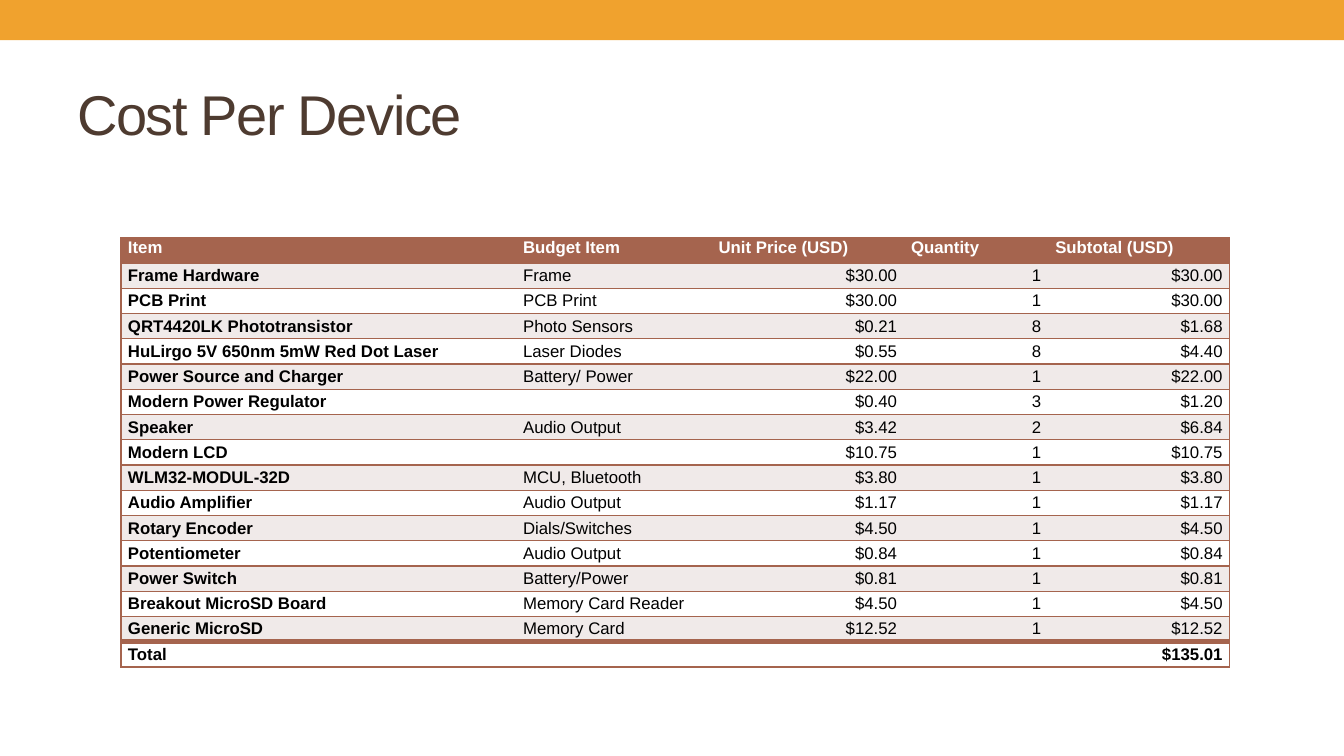
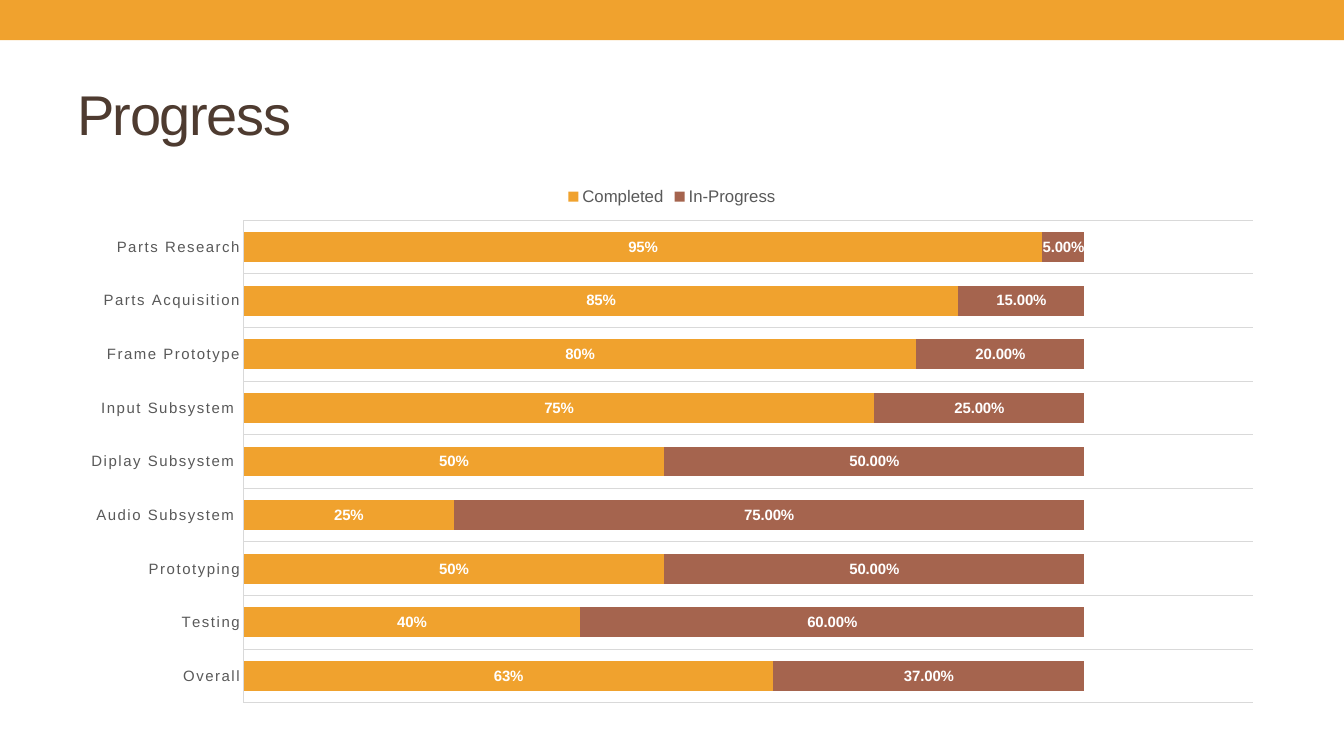
import lxml.etree
import pptx
import pptx.chart.data
import pptx.dml.color
import pptx.enum.chart
import pptx.enum.shapes
import pptx.enum.text
import pptx.oxml.ns
import pptx.util

Inches = pptx.util.Inches
Pt = pptx.util.Pt
RGBColor = pptx.dml.color.RGBColor
ALIGN = pptx.enum.text.PP_ALIGN
ANCHOR = pptx.enum.text.MSO_ANCHOR
qn = pptx.oxml.ns.qn

AMBER = RGBColor(0xF0, 0xA2, 0x2E)
BROWN = RGBColor(0xA5, 0x64, 0x4E)
DARK_BROWN = RGBColor(0x4E, 0x3B, 0x30)
STRIPE = RGBColor(0xF0, 0xEA, 0xE9)
WHITE = RGBColor(0xFF, 0xFF, 0xFF)
BLACK = RGBColor(0, 0, 0)
GRAY = RGBColor(0x59, 0x59, 0x59)
LIGHT_GRAY = RGBColor(0xD9, 0xD9, 0xD9)
FONT = "Arial"
CHART_SIZE = 10.64
PLAIN_TABLE = "{2D5ABB26-0587-4C30-8999-92F81FD0307C}"

SLIDE_WIDTH = Inches(40 / 3)
MARGIN = Inches(2 / 3)
CONTENT_WIDTH = SLIDE_WIDTH - 2 * MARGIN

HEADERS = ["Item", "Budget Item", "Unit Price (USD)", "Quantity", "Subtotal (USD)"]
COL_WIDTHS = [3.92, 1.94, 1.91, 1.43, 1.8]
COL_ALIGNS = [ALIGN.LEFT, ALIGN.JUSTIFY, ALIGN.RIGHT, ALIGN.RIGHT, ALIGN.RIGHT]
PARTS = [
    ("Frame Hardware", "Frame", 30.00, 1),
    ("PCB Print", "PCB Print", 30.00, 1),
    ("QRT4420LK Phototransistor", "Photo Sensors", 0.21, 8),
    ("HuLirgo 5V 650nm 5mW Red Dot Laser", "Laser Diodes", 0.55, 8),
    ("Power Source and Charger", "Battery/ Power", 22.00, 1),
    ("Modern Power Regulator", "", 0.40, 3),
    ("Speaker", "Audio Output", 3.42, 2),
    ("Modern LCD", "", 10.75, 1),
    ("WLM32-MODUL-32D", "MCU, Bluetooth", 3.80, 1),
    ("Audio Amplifier", "Audio Output", 1.17, 1),
    ("Rotary Encoder", "Dials/Switches", 4.50, 1),
    ("Potentiometer", "Audio Output", 0.84, 1),
    ("Power Switch", "Battery/Power", 0.81, 1),
    ("Breakout MicroSD Board", "Memory Card Reader", 4.50, 1),
    ("Generic MicroSD", "Memory Card", 12.52, 1),
]
COMPLETED = {
    "Overall": 0.63,
    "Testing": 0.40,
    "Prototyping": 0.50,
    "Audio Subsystem ": 0.25,
    "Diplay Subsystem ": 0.50,
    "Input Subsystem ": 0.75,
    "Frame Prototype": 0.80,
    "Parts Acquisition": 0.85,
    "Parts Research": 0.95,
}


def set_font(font, size, color, bold=False):
    font.name = FONT
    font.size = Pt(size)
    font.bold = bold
    font.color.rgb = color


def add_text(tf, text, size=12, color=BLACK, bold=False, align=ALIGN.LEFT,
             anchor=ANCHOR.MIDDLE, after=0, spacing=0):
    """Fill the first paragraph; spacing is letter spacing in points."""
    p = tf.paragraphs[0]
    p.alignment = align
    p.space_after = Pt(after)
    tf.vertical_anchor = anchor
    if not text:
        p._p.get_or_add_endParaRPr().set("sz", str(size * 100))
        return
    r = p.add_run()
    r.text = text
    set_font(r.font, size, color, bold)
    if spacing:
        r._r.get_or_add_rPr().set("spc", str(int(spacing * 100)))


def set_borders(cell, **widths):
    """Draw brown borders; keys are L, R, T, B in that order, widths in points."""
    tc_pr = cell._tc.get_or_add_tcPr()
    for side, width in widths.items():
        ln = lxml.etree.SubElement(tc_pr, qn(f"a:ln{side}"), w=str(Pt(width)))
        fill = lxml.etree.SubElement(ln, qn("a:solidFill"))
        lxml.etree.SubElement(fill, qn("a:srgbClr"), val=str(BROWN))


class Deck:
    def __init__(self):
        self.prs = pptx.Presentation()
        self.prs.slide_width = SLIDE_WIDTH
        self.prs.slide_height = Inches(7.5)
        self.s = None

    def add_slide(self, title):
        self.s = self.prs.slides.add_slide(self.prs.slide_layouts[6])
        self.add_band()
        self.add_title(title)

    def add_band(self):
        sp = self.s.shapes.add_shape(pptx.enum.shapes.MSO_SHAPE.RECTANGLE,
                                     0, 0, SLIDE_WIDTH, Inches(0.4))
        sp.shadow.inherit = False
        sp.fill.solid()
        sp.fill.fore_color.rgb = AMBER
        sp.line.fill.background()

    def add_title(self, text):
        sp = self.s.shapes.add_textbox(MARGIN, Inches(0.58), CONTENT_WIDTH, Inches(1.08))
        sp.text_frame.word_wrap = True
        add_text(sp.text_frame, text, size=40, color=DARK_BROWN, spacing=-1)

    def add_cost_table(self, rows):
        """Draw rows with a header first and a total last."""
        height = Inches(4.26)
        last_row, last_col = len(rows) - 1, len(COL_WIDTHS) - 1
        table = self.s.shapes.add_table(
            len(rows), len(COL_WIDTHS), Inches(1.2), Inches(2.36),
            Inches(sum(COL_WIDTHS)), height).table
        table._tbl.tblPr.find(qn("a:tableStyleId")).text = PLAIN_TABLE
        for column, width in zip(table.columns, COL_WIDTHS):
            column.width = Inches(width)
        for i, row in enumerate(rows):
            table.rows[i].height = height // len(rows)
            header, total = i == 0, i == last_row
            for j, text in enumerate(row):
                cell = table.cell(i, j)
                cell.margin_left = cell.margin_right = Inches(0.07)
                cell.margin_top = cell.margin_bottom = 0
                sides = {}
                if j == 0:
                    sides["L"] = 1
                if j == last_col:
                    sides["R"] = 1
                set_borders(cell, **sides, T=4 if total else 1,
                            B=4 if i == last_row - 1 else 1)
                cell.fill.solid()
                cell.fill.fore_color.rgb = BROWN if header else STRIPE if i % 2 else WHITE
                add_text(cell.text_frame, text,
                         color=WHITE if header else BLACK,
                         bold=header or total or j == 0,
                         align=ALIGN.LEFT if header else COL_ALIGNS[j],
                         after=0 if header else 3)
                cell.vertical_anchor = ANCHOR.TOP if header else ANCHOR.MIDDLE

    def add_progress_chart(self, completed):
        data = pptx.chart.data.CategoryChartData()
        data.categories = list(completed)
        data.add_series("Completed", completed.values(), "0%")
        data.add_series("In-Progress", [round(1 - v, 2) for v in completed.values()], "0.00%")
        chart = self.s.shapes.add_chart(
            pptx.enum.chart.XL_CHART_TYPE.BAR_STACKED,
            MARGIN, Inches(1.75), CONTENT_WIDTH, Inches(5.33), data).chart
        set_font(chart.font, 10, BLACK)
        chart.has_title = False
        chart.has_legend = True
        chart.legend.position = pptx.enum.chart.XL_LEGEND_POSITION.TOP
        chart.legend.include_in_layout = False
        set_font(chart.legend.font, 11.97, GRAY)
        self.style_axes(chart)

        plot = chart.plots[0]
        plot.gap_width = 79
        plot.overlap = 100
        plot.vary_by_categories = False
        for series, color, fmt in zip(plot.series, (AMBER, BROWN), ("0%", "0.00%")):
            series.format.fill.solid()
            series.format.fill.fore_color.rgb = color
            labels = series.data_labels
            labels.show_value = True
            labels.number_format = fmt
            labels.number_format_is_linked = False
            labels.position = pptx.enum.chart.XL_LABEL_POSITION.CENTER
            set_font(labels.font, CHART_SIZE, WHITE, bold=True)

    def style_axes(self, chart):
        values = chart.value_axis
        values.minimum_scale = 0
        values.maximum_scale = 1.2
        values.has_major_gridlines = False
        values.visible = False

        tasks = chart.category_axis
        tasks.major_tick_mark = pptx.enum.chart.XL_TICK_MARK.NONE
        tasks.has_major_gridlines = True
        for line in (tasks.format.line, tasks.major_gridlines.format.line):
            line.color.rgb = LIGHT_GRAY
            line.width = Pt(0.75)
        set_font(tasks.tick_labels.font, CHART_SIZE, GRAY)
        letters = tasks._element.find(".//" + qn("a:defRPr"))
        letters.set("spc", "120")
        letters.set("kern", "1200")


def cost_rows():
    rows = [HEADERS]
    for item, budget, price, quantity in PARTS:
        rows.append([item, budget, f"${price:.2f}", str(quantity), f"${price * quantity:.2f}"])
    total = sum(price * quantity for _, _, price, quantity in PARTS)
    return rows + [["Total", "", "", "", f"${total:.2f}"]]


def main():
    deck = Deck()
    deck.add_slide("Cost Per Device")
    deck.add_cost_table(cost_rows())
    deck.add_slide("Progress")
    deck.add_progress_chart(COMPLETED)
    deck.prs.save("out.pptx")


if __name__ == "__main__":
    main()
